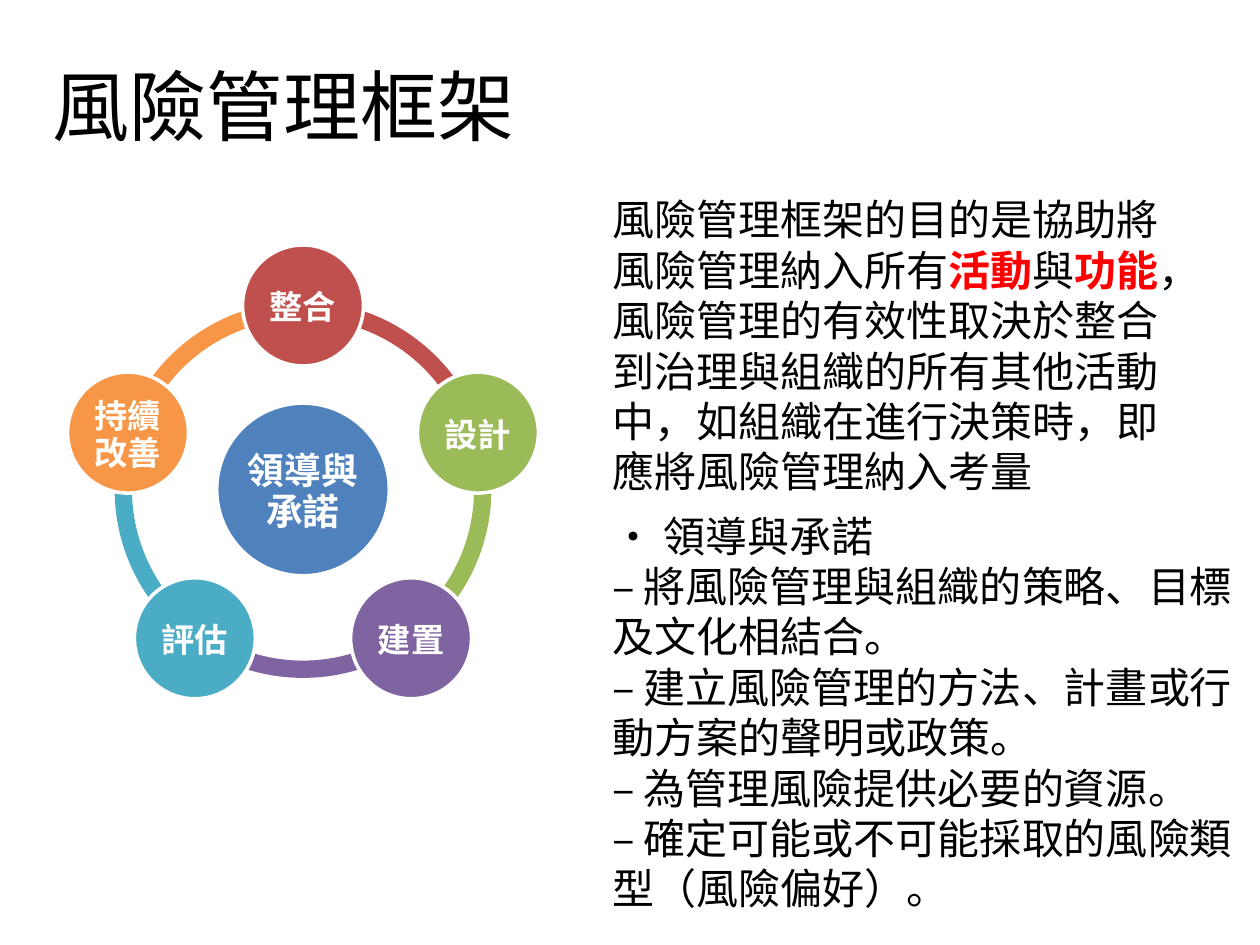
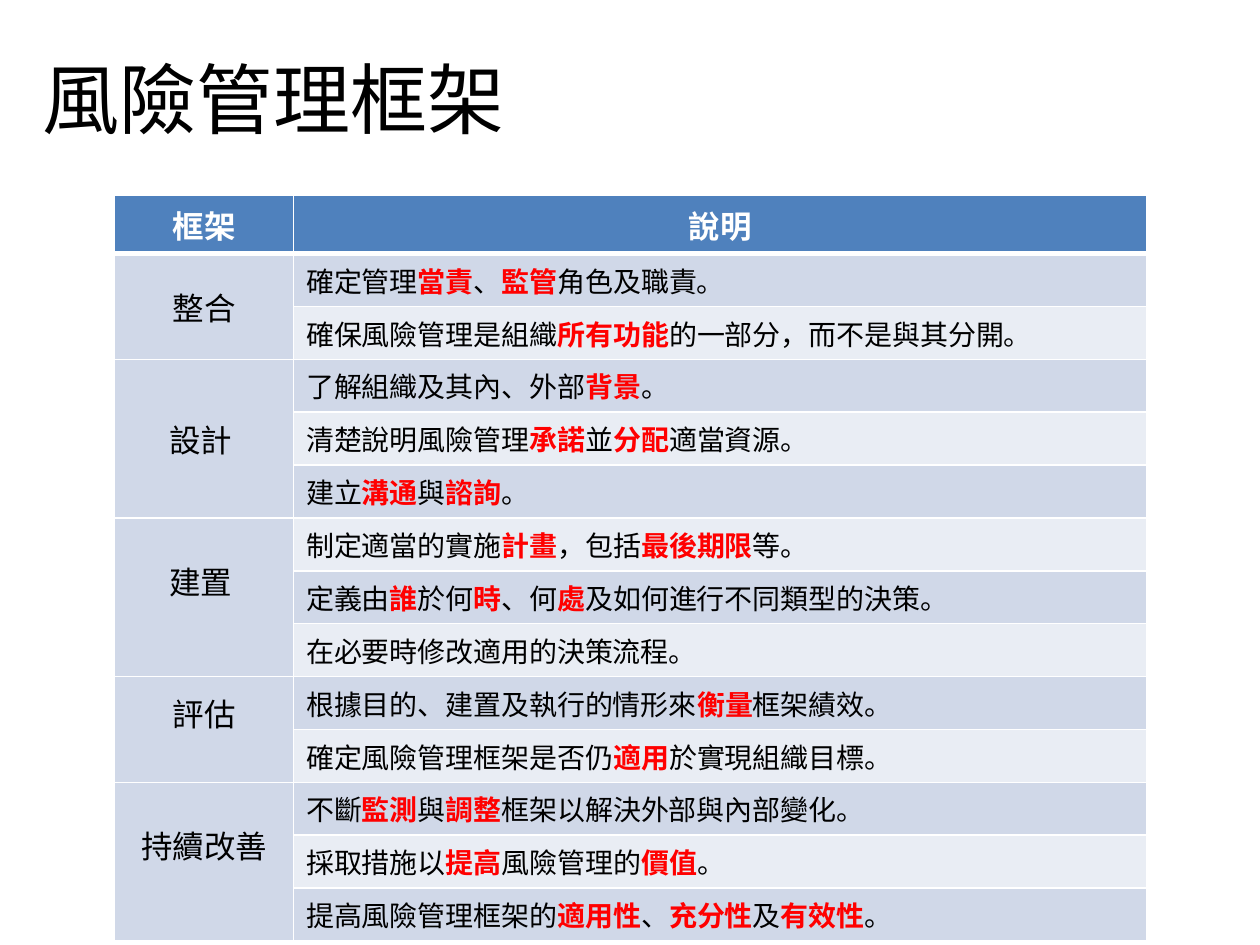
import math

import lxml.etree
import pptx
import pptx.dml.color
import pptx.enum.shapes
import pptx.enum.text
import pptx.oxml.ns
import pptx.util

RGB = pptx.dml.color.RGBColor
SHAPE = pptx.enum.shapes.MSO_SHAPE
ALIGN = pptx.enum.text.PP_ALIGN
ANCHOR = pptx.enum.text.MSO_ANCHOR
Pt = pptx.util.Pt
qn = pptx.oxml.ns.qn

# Theme
BLACK = RGB(0x00, 0x00, 0x00)
WHITE = RGB(0xFF, 0xFF, 0xFF)
HIGHLIGHT = RGB(0xFF, 0x00, 0x00)
BLUE = RGB(0x4F, 0x81, 0xBD)
RED = RGB(0xC0, 0x50, 0x4D)
GREEN = RGB(0x9B, 0xBB, 0x59)
PURPLE = RGB(0x80, 0x64, 0xA2)
TEAL = RGB(0x4B, 0xAC, 0xC6)
ORANGE = RGB(0xF7, 0x96, 0x46)
BAND_DARK = RGB(0xD0, 0xD8, 0xE8)
BAND_LIGHT = RGB(0xE9, 0xED, 0xF4)
CJK, LATIN, SYMBOL = "Noto Sans CJK TC", "Calibri", "Arial"

WIDTH, HEIGHT = pptx.util.Inches(10), pptx.util.Inches(7.5)
TITLE = "風險管理框架"

# Content; *…* marks highlighted words
CENTRE = "領導與承諾"
STAGES = [("整合", RED), ("設計", GREEN), ("建置", PURPLE),
          ("評估", TEAL), ("持續改善", ORANGE)]
PURPOSE = ("風險管理框架的目的是協助將風險管理納入所有*活動*與*功能*，"
           "風險管理的有效性取決於整合到治理與組織的所有其他活動中，"
           "如組織在進行決策時，即應將風險管理納入考量")
LEADERSHIP = [
    ("• ", "領導與承諾"),
    ("‒ ", "將風險管理與組織的策略、目標及文化相結合。"),
    ("‒ ", "建立風險管理的方法、計畫或行動方案的聲明或政策。"),
    ("‒ ", "為管理風險提供必要的資源。"),
    ("‒ ", "確定可能或不可能採取的風險類型（風險偏好）。"),
]
HEADERS = ["框架", "說明"]
# Stage, extra space under its label (share of height), descriptions
FRAMEWORK = [
    ("整合", 0, ["確定管理*當責*、*監管*角色及職責。",
               "確保風險管理是組織*所有功能*的一部分，而不是與其分開。"]),
    ("設計 ", 0, ["了解組織及其內、外部*背景*。",
                "清楚說明風險管理*承諾*並*分配*適當資源。",
                "建立*溝通*與*諮詢*。"]),
    ("建置 ", 3.6, ["制定適當的實施*計畫*，包括*最後期限*等。",
                  "定義由*誰*於何*時*、何*處*及如何進行不同類型的決策。",
                  "在必要時修改適用的決策流程。"]),
    ("評估", 3.6, ["根據目的、建置及執行的情形來*衡量*框架績效。",
                 "確定風險管理框架是否仍*適用*於實現組織目標。"]),
    ("持續改善", 3.6, ["不斷*監測*與*調整*框架以解決外部與內部變化。",
                   "採取措施以*提高*風險管理的*價值*。",
                   "提高風險管理框架的*適用性*、*充分性*及*有效性*。"]),
]


def across(percent):
    """Share of the slide's width."""
    return round(WIDTH * percent / 100)


def down(percent):
    """Share of the slide's height."""
    return round(HEIGHT * percent / 100)


# Text
def add_run(p, text, size, color=BLACK, bold=False, latin=LATIN):
    r = p.add_run()
    r.text = text
    r.font.size, r.font.bold, r.font.name = Pt(size), bold, latin
    r.font.color.rgb = color
    ea = lxml.etree.SubElement(r.font._element, qn("a:ea"))
    ea.set("typeface", CJK)


def add_marked(p, text, size, latin=LATIN):
    for i, part in enumerate(text.split("*")):
        if part:
            marked = i % 2 == 1
            add_run(p, part, size, HIGHLIGHT if marked else BLACK, marked, latin)


def add_text_box(slide, left, top, width, height, anchor=ANCHOR.TOP):
    box = slide.shapes.add_textbox(across(left), down(top), across(width), down(height))
    tf = box.text_frame
    tf.word_wrap, tf.vertical_anchor = True, anchor
    return tf


def add_title(slide, left, top):
    p = add_text_box(slide, left, top, 41, 16.67, ANCHOR.MIDDLE).paragraphs[0]
    p.alignment = ALIGN.CENTER
    add_run(p, TITLE, 44)


def add_purpose(slide):
    p = add_text_box(slide, 47.6, 19.87, 46.9, 33.6).paragraphs[0]
    p.line_spacing = Pt(28.8)
    add_marked(p, PURPOSE, 24, CJK)


def add_leadership(slide):
    tf = add_text_box(slide, 47.6, 53.33, 52.4, 44.4)
    for i, (mark, text) in enumerate(LEADERSHIP):
        p = tf.add_paragraph() if i else tf.paragraphs[0]
        p.line_spacing = Pt(28.8)
        add_run(p, mark, 24, latin=SYMBOL)
        add_run(p, text, 24, latin=CJK)


# Cycle diagram
def add_round(slide, kind, cx, cy, diameter, color):
    sp = slide.shapes.add_shape(kind, round(cx - diameter / 2), round(cy - diameter / 2),
                                diameter, diameter)
    sp.shadow.inherit = False
    sp.fill.solid()
    sp.fill.fore_color.rgb = color
    return sp


def add_arc(slide, cx, cy, start, end, color):
    sp = add_round(slide, SHAPE.BLOCK_ARC, cx, cy, across(29.9), color)
    sp.line.fill.background()
    # Angles are stored in 60000ths of a degree, adjustments in 100000ths
    for i, value in enumerate((start % 360 * 0.6, end % 360 * 0.6, 0.046)):
        sp.adjustments[i] = value


def add_circle(slide, cx, cy, diameter, color, text, size):
    sp = add_round(slide, SHAPE.OVAL, cx, cy, diameter, color)
    sp.line.color.rgb, sp.line.width = WHITE, Pt(2)
    tf = sp.text_frame
    tf.word_wrap, tf.vertical_anchor = True, ANCHOR.MIDDLE
    tf.margin_left = tf.margin_right = across(0.3)
    tf.margin_top, tf.margin_bottom = down(1), down(0.4)
    p = tf.paragraphs[0]
    p.alignment, p.line_spacing = ALIGN.CENTER, Pt(size * 1.1)
    add_run(p, text, size, WHITE, True)


def add_cycle(slide):
    cx, cy, radius = across(24.05), down(51.8), across(14.6)
    step = 360 / len(STAGES)
    angles = [-90 + step * i for i in range(len(STAGES))]
    for angle, (_, color) in zip(angles, STAGES):
        add_arc(slide, cx, cy, angle, angle + step, color)
    add_circle(slide, cx, cy, across(13.7), BLUE, CENTRE, 21)
    for angle, (name, color) in zip(angles, STAGES):
        turn = math.radians(angle)
        add_circle(slide, cx + radius * math.cos(turn), cy + radius * math.sin(turn),
                   across(9.6), color, name, 19)


# Framework table
def style_cell(cell, color, bottom=1):
    cell.fill.solid()
    cell.fill.fore_color.rgb = color
    tc_pr = cell._tc.get_or_add_tcPr()
    for i, side in enumerate("LRTB"):
        ln = lxml.etree.Element(qn("a:ln" + side))
        ln.set("w", str(Pt(bottom if side == "B" else 1)))
        fill = lxml.etree.SubElement(ln, qn("a:solidFill"))
        lxml.etree.SubElement(fill, qn("a:srgbClr")).set("val", str(WHITE))
        tc_pr.insert(i, ln)


def add_label(cell, text, color=BLACK, bold=False):
    cell.vertical_anchor = ANCHOR.MIDDLE
    p = cell.text_frame.paragraphs[0]
    p.alignment = ALIGN.CENTER
    add_run(p, text, 18, color, bold)


def add_framework_table(slide):
    count = sum(len(texts) for _, _, texts in FRAMEWORK)
    head, body = down(6.16), down(5.6)
    table = slide.shapes.add_table(count + 1, 2, across(9.1), down(20.67),
                                   across(81.9), head + body * count).table
    table.columns[0].width, table.columns[1].width = across(14.2), across(67.7)
    for i, row in enumerate(table.rows):
        row.height = body if i else head

    for col, text in enumerate(HEADERS):
        style_cell(table.cell(0, col), BLUE, 3)
        add_label(table.cell(0, col), text, WHITE, True)

    row = 1
    for stage, space_below, texts in FRAMEWORK:
        label = table.cell(row, 0)
        label.merge(table.cell(row + len(texts) - 1, 0))
        add_label(label, stage)
        if space_below:
            label.margin_bottom += down(space_below)
        for text in texts:
            style_cell(table.cell(row, 0), BAND_DARK)
            style_cell(table.cell(row, 1), BAND_DARK if row % 2 else BAND_LIGHT)
            add_marked(table.cell(row, 1).text_frame.paragraphs[0], text, 16)
            row += 1


def main():
    prs = pptx.Presentation()
    prs.slide_width, prs.slide_height = WIDTH, HEIGHT
    blank = prs.slide_layouts[6]

    # Framework cycle and purpose
    slide = prs.slides.add_slide(blank)
    add_title(slide, 2, 2.8)
    add_cycle(slide)
    add_purpose(slide)
    add_leadership(slide)

    # Framework details
    slide = prs.slides.add_slide(blank)
    add_title(slide, 1.2, 2)
    add_framework_table(slide)

    prs.save("out.pptx")


if __name__ == "__main__":
    main()
